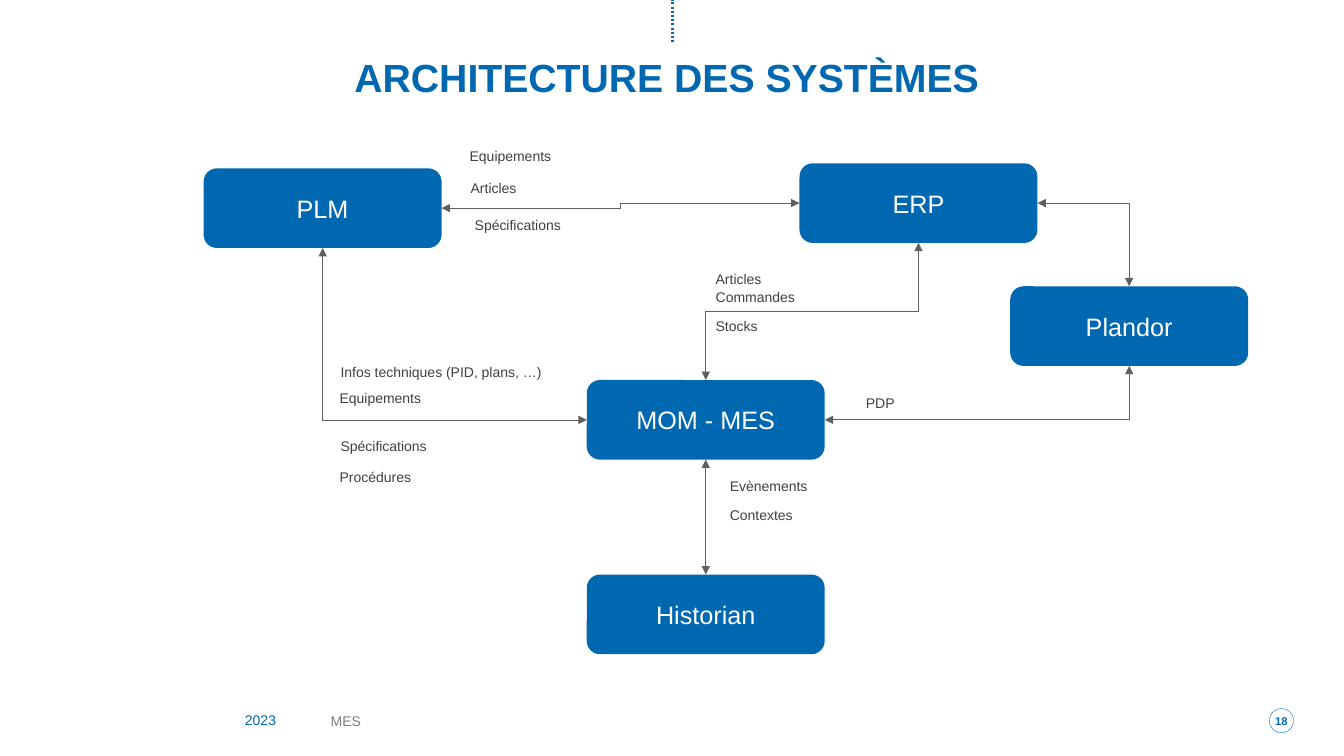
from dataclasses import dataclass

import pptx
import pptx.dml.color
import pptx.enum.dml
import pptx.enum.shapes
import pptx.enum.text
import pptx.oxml.ns
import pptx.util
from lxml import etree

Inches = pptx.util.Inches
Pt = pptx.util.Pt
qn = pptx.oxml.ns.qn
SHAPES = pptx.enum.shapes.MSO_SHAPE
CONNECTORS = pptx.enum.shapes.MSO_CONNECTOR
ALIGN = pptx.enum.text.PP_ALIGN
ANCHOR = pptx.enum.text.MSO_ANCHOR
TOP, LEFT, BOTTOM, RIGHT = range(4)


@dataclass(frozen=True)
class Theme:
    font: str = "Arial"
    blue: str = "0067B1"
    white: str = "FFFFFF"
    arrow: str = "5F5F5F"
    label: str = "404040"
    footer: str = "7F7F7F"
    title_size: int = 28
    box_size: int = 18
    label_size: int = 10
    number_size: int = 8


def rgb(value):
    return pptx.dml.color.RGBColor.from_string(value)


class SlideBuilder:
    def __init__(self, s, theme):
        self.s = s
        self.theme = theme

    def set_text(self, sp, text, size, color, bold=False, align=ALIGN.LEFT,
                 anchor=ANCHOR.TOP, inset=True):
        tf = sp.text_frame
        tf.text = text
        tf.word_wrap = True
        tf.auto_size = pptx.enum.text.MSO_AUTO_SIZE.NONE
        tf.vertical_anchor = anchor
        if not inset:
            tf.margin_left = tf.margin_top = tf.margin_right = tf.margin_bottom = 0
        p = tf.paragraphs[0]
        p.alignment = align
        font = p.runs[0].font
        font.name, font.size, font.bold = self.theme.font, Pt(size), bold
        font.color.rgb = rgb(color)

    def title(self, text, left, top, width, height):
        sp = self.s.shapes.title
        sp.left, sp.top = Inches(left), Inches(top)
        sp.width, sp.height = Inches(width), Inches(height)
        sp.fill.solid()
        sp.fill.fore_color.rgb = rgb(self.theme.white)
        self.set_text(sp, text, self.theme.title_size, self.theme.blue, True,
                      ALIGN.CENTER, ANCHOR.BOTTOM, inset=False)
        sp.text_frame.paragraphs[0].line_spacing = 0.9

    def text(self, text, left, top, width, height, color, inset=True):
        sp = self.s.shapes.add_textbox(Inches(left), Inches(top), Inches(width), Inches(height))
        self.set_text(sp, text, self.theme.label_size, color, inset=inset)

    def shape(self, kind, left, top, width, height, fill):
        sp = self.s.shapes.add_shape(kind, Inches(left), Inches(top), Inches(width), Inches(height))
        sp.shadow.inherit = False
        sp.fill.solid()
        sp.fill.fore_color.rgb = rgb(fill)
        sp.line.fill.background()
        return sp

    def system(self, name, left, top):
        sp = self.shape(SHAPES.ROUNDED_RECTANGLE, left, top, 2.36, 0.79, self.theme.blue)
        self.set_text(sp, name, self.theme.box_size, self.theme.white,
                      align=ALIGN.CENTER, anchor=ANCHOR.MIDDLE)
        return sp

    def page_number(self, text, left, top, size):
        sp = self.shape(SHAPES.OVAL, left, top, size, size, self.theme.white)
        sp.line.color.rgb = rgb(self.theme.blue)
        sp.line.width = Pt(0.25)
        self.set_text(sp, text, self.theme.number_size, self.theme.blue, True,
                      ALIGN.CENTER, ANCHOR.MIDDLE, inset=False)

    def line(self, kind, color, width, x1=0, y1=0, x2=0, y2=0):
        c = self.s.shapes.add_connector(kind, Inches(x1), Inches(y1), Inches(x2), Inches(y2))
        c.line.color.rgb = rgb(color)
        c.line.width = Pt(width)
        etree.SubElement(c._element.spPr, qn("a:effectLst"))
        return c

    def flow(self, start, start_side, end, end_side):
        """Join two systems with a double-headed arrow, bent when they are not aligned."""
        c = self.line(CONNECTORS.ELBOW, self.theme.arrow, 0.5)
        c.begin_connect(start, start_side)
        c.end_connect(end, end_side)
        ln = c._element.spPr.find(qn("a:ln"))
        for tag in ("a:headEnd", "a:tailEnd"):
            etree.SubElement(ln, qn(tag), type="triangle")
        self.bend(c, start_side, end_side)

    def bend(self, c, start_side, end_side):
        """Turn and flip the elbow so that it leaves and enters at the given sides."""
        dx, dy = c.end_x - c.begin_x, c.end_y - c.begin_y
        geometry = c._element.spPr.find(qn("a:prstGeom"))
        if dx == 0 or dy == 0:
            geometry.set("prst", "line")
            return
        if start_side % 2 != end_side % 2:
            geometry.set("prst", "bentConnector2")
        flip_h, flip_v = dx < 0, dy < 0
        xfrm = c._element.spPr.find(qn("a:xfrm"))
        if start_side in (TOP, BOTTOM):
            center_x, center_y = c.begin_x + dx // 2, c.begin_y + dy // 2
            c.width, c.height = abs(dy), abs(dx)
            c.left, c.top = center_x - abs(dy) // 2, center_y - abs(dx) // 2
            flip_h, flip_v = dy < 0, dx > 0
            xfrm.set("rot", str(90 * 60000))
        xfrm.set("flipH", str(int(flip_h)))
        xfrm.set("flipV", str(int(flip_v)))


def main():
    prs = pptx.Presentation()
    prs.slide_width, prs.slide_height = Inches(13.33), Inches(7.5)
    theme = Theme()
    slide = SlideBuilder(prs.slides.add_slide(prs.slide_layouts[5]), theme)

    dots = slide.line(CONNECTORS.STRAIGHT, theme.blue, 1.5, 6.67, 0.42, 6.67, 0)
    dots.line.dash_style = pptx.enum.dml.MSO_LINE.ROUND_DOT
    slide.title("ARCHITECTURE DES SYSTÈMES ", 0.52, 0.56, 12.29, 0.44)
    slide.text("2023", 2.43, 7.06, 0.85, 0.18, theme.blue, inset=False)
    slide.text("MES", 3.28, 7.07, 1.72, 0.17, theme.footer, inset=False)
    slide.page_number("18", 12.59, 7.03, 0.24)

    erp = slide.system("ERP", 7.93, 1.62)
    plm = slide.system("PLM", 2.02, 1.67)
    mes = slide.system("MOM - MES", 5.82, 3.77)
    historian = slide.system("Historian", 5.82, 5.7)
    planning = slide.system("Plandor", 10.02, 2.84)

    for flow in [
        (plm, BOTTOM, mes, LEFT),
        (plm, RIGHT, erp, LEFT),
        (mes, TOP, erp, BOTTOM),
        (mes, BOTTOM, historian, TOP),
        (planning, TOP, erp, RIGHT),
        (mes, RIGHT, planning, BOTTOM),
    ]:
        slide.flow(*flow)

    for text, left, top in [
        ("Equipements", 4.56, 1.41),
        ("Articles", 4.57, 1.73),
        ("Spécifications", 4.61, 2.1),
        ("Articles", 7, 2.63),
        ("Commandes", 7, 2.81),
        ("Stocks", 7, 3.1),
        ("Evènements", 7.14, 4.69),
        ("Contextes", 7.14, 4.98),
        ("Equipements", 3.27, 3.82),
        ("Spécifications", 3.28, 4.29),
        ("Procédures", 3.27, 4.6),
        ("PDP", 8.49, 3.86),
    ]:
        slide.text(text, left, top, 1.08, 0.27, theme.label)
    slide.text("Infos techniques (PID, plans, …)", 3.28, 3.56, 2.24, 0.27, theme.label)

    prs.save("out.pptx")


if __name__ == "__main__":
    main()
